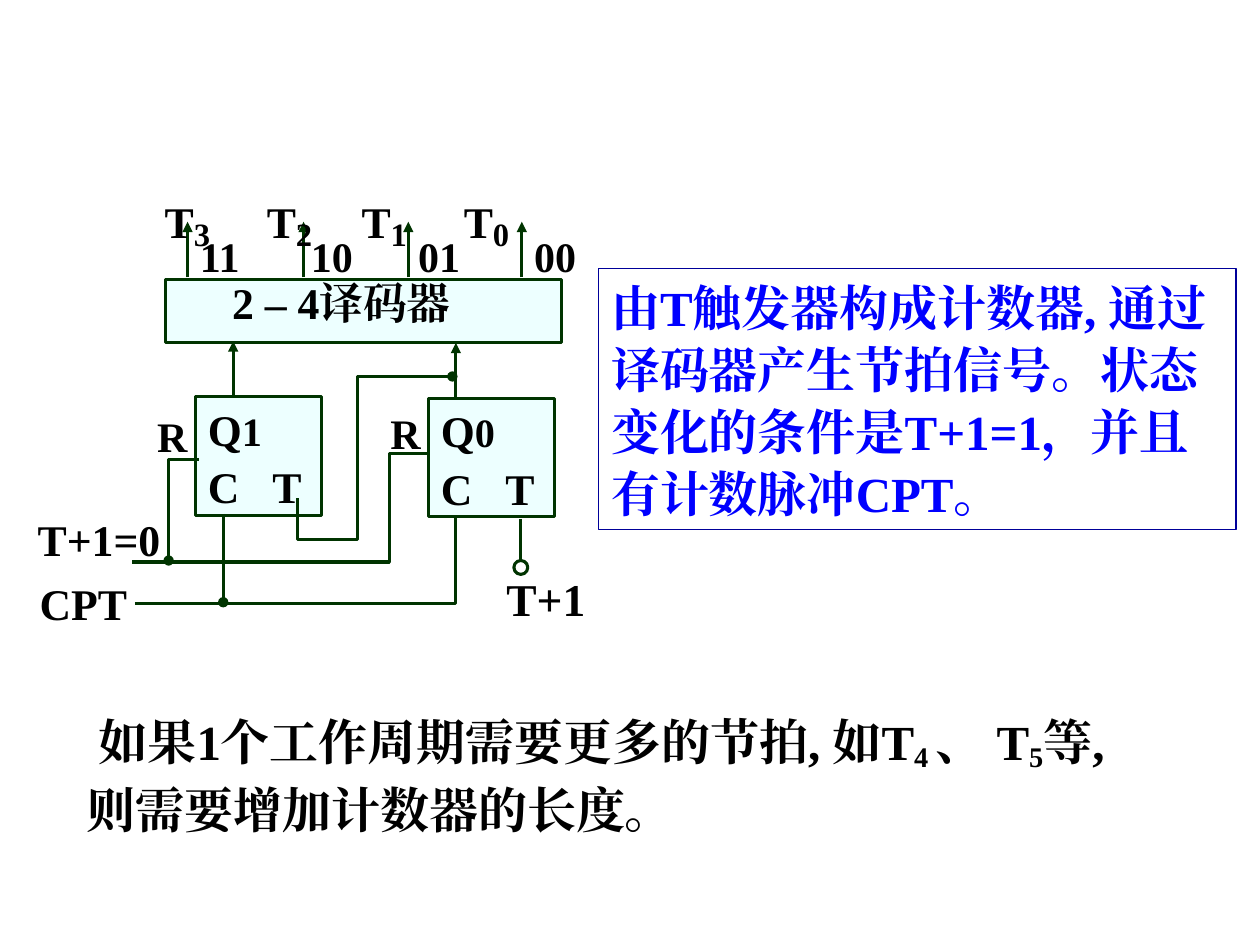
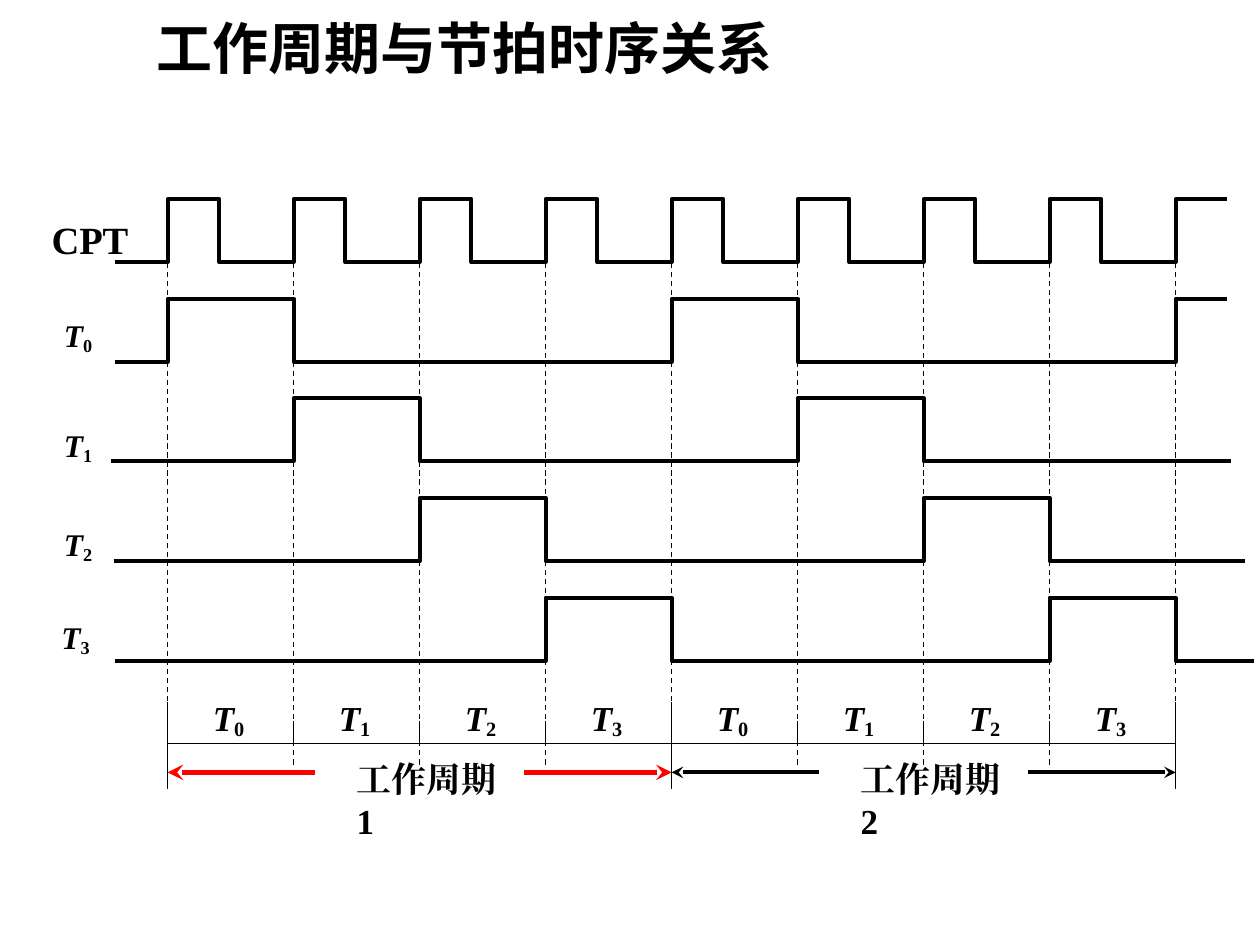
"""Build two slides on beat generation: the decoder circuit and its timing diagram."""
from dataclasses import dataclass
from typing import NamedTuple

from lxml import etree
from pptx import Presentation
from pptx import util as u
from pptx.dml.color import RGBColor
from pptx.enum import dml, shapes, text
from pptx.oxml import ns


@dataclass(frozen=True)
class Theme:
    serif: str = "Times New Roman"
    sans: str = "Noto Sans CJK SC"
    ink: str = "000000"
    wire: str = "003400"
    block: str = "EDFFFF"
    note: str = "0000FF"
    note_border: str = "000099"
    accent: str = "FF0000"
    title: float = 32
    body: float = 28
    pin: float = 25
    code: float = 24
    clock: float = 22
    period: float = 20
    signal: float = 18
    wire_width: float = 1.75
    wave_width: float = 2.25
    thin: float = 0.75


T = Theme()


class Run(NamedTuple):
    text: str
    size: float
    sub: int = 0
    italic: bool = False


class Box(NamedTuple):
    x: float
    y: float
    w: float
    h: float


class Label(NamedTuple):
    x: float
    y: float
    runs: list[Run]


class Wire(NamedTuple):
    points: list[tuple[float, float]]
    head: str = ""
    tail: str = ""


class Signal(NamedTuple):
    label: Label
    start: float
    end: float
    phase: int
    period: int
    width: float


def cm(*values: float) -> list[int]:
    return [u.Cm(round(v, 2)) for v in values]


def set_fonts(r, size: float, color: str, face: str = T.serif) -> None:
    f = r.font
    f.name, f.size, f.bold = face, u.Pt(size), True
    f.color.rgb = RGBColor.from_string(color)
    latin = r._r.rPr.find(ns.qn("a:latin"))
    ea = etree.Element(ns.qn("a:ea"), typeface=face)
    latin.addnext(ea)


def write(p, runs: list[Run], color: str = T.ink) -> None:
    for run in runs:
        r = p.add_run()
        r.text = run.text
        set_fonts(r, run.size, color)
        r.font.italic = run.italic
        if run.sub:
            r._r.rPr.set("baseline", str(run.sub * 1000))


def set_line(sp, color: str, width: float, head: str = "", tail: str = "") -> None:
    sp.line.color.rgb = RGBColor.from_string(color)
    sp.line.width = u.Pt(width)
    ln = sp.line._get_or_add_ln()
    for tag, kind in (("a:headEnd", head), ("a:tailEnd", tail)):
        if kind:
            etree.SubElement(ln, ns.qn(tag), type=kind)


def add_line(s, x1: float, y1: float, x2: float, y2: float, color: str = T.ink,
             width: float = T.thin, tail: str = "", dashed: bool = False) -> None:
    sp = s.shapes.add_connector(shapes.MSO_CONNECTOR.STRAIGHT, *cm(x1, y1, x2, y2))
    if dashed:
        sp.line.dash_style = dml.MSO_LINE.DASH
    set_line(sp, color, width, tail=tail)
    etree.SubElement(sp._element.spPr, ns.qn("a:effectLst"))


def add_path(s, wire: Wire, color: str, width: float) -> None:
    points = [tuple(cm(*point)) for point in wire.points]
    builder = s.shapes.build_freeform(*points[0], scale=1.0)
    builder.add_line_segments(points[1:], close=False)
    sp = builder.convert_to_shape()
    sp.shadow.inherit = False
    sp.fill.background()
    set_line(sp, color, width, wire.head, wire.tail)


def add_block(s, box: Box, fill: str = "", line: str = T.wire, width: float = T.wire_width,
              kind=shapes.MSO_SHAPE.RECTANGLE):
    sp = s.shapes.add_shape(kind, *cm(*box))
    sp.shadow.inherit = False
    if fill:
        sp.fill.solid()
        sp.fill.fore_color.rgb = RGBColor.from_string(fill)
    else:
        sp.fill.background()
    set_line(sp, line, width)
    tf = sp.text_frame
    tf.word_wrap = True
    tf.vertical_anchor = text.MSO_ANCHOR.TOP
    tf.paragraphs[0].alignment = text.PP_ALIGN.LEFT
    return sp


def add_label(s, label: Label, w: float = 1.3, h: float = 1.1, wrap: bool = False):
    sp = s.shapes.add_textbox(*cm(label.x, label.y, w, h))
    tf = sp.text_frame
    tf.word_wrap = wrap
    write(tf.paragraphs[0], label.runs)
    return sp


def beat(i: int, size: float) -> list[Run]:
    return [Run("T", size, italic=True), Run(str(i), size, -15)]


def add_flip_flop(s, x: float, y: float, i: int) -> None:
    tf = add_block(s, Box(x, y, 2.54, 2.39), T.block).text_frame
    tf.margin_top = u.Cm(0.23)
    p = tf.paragraphs[0]
    p.line_spacing = 0.9
    write(p, [Run("Q", T.pin), Run(str(i), T.pin - 2)])
    p = tf.add_paragraph()
    tabs = etree.SubElement(p._p.get_or_add_pPr(), ns.qn("a:tabLst"))
    etree.SubElement(tabs, ns.qn("a:tab"), pos=str(u.Cm(1.3)), algn="l")
    p.alignment = text.PP_ALIGN.LEFT
    p.space_before = u.Pt(2.5)
    write(p, [Run("C\tT", T.pin)])


def build_circuit(s) -> None:
    note = add_block(s, Box(12.07, 5.41, 12.85, 5.26), line=T.note_border, width=T.thin)
    p = note.text_frame.paragraphs[0]
    p.line_spacing = u.Pt(35.4)
    write(p, [Run("由T触发器构成计数器, 通过译码器产生节拍信号。"
                  "状态变化的条件是T+1=1，并且有计数脉冲CPT。", T.body)], T.note)

    remark = Label(1.5, 14.15, [
        Run("如果1个工作周期需要更多的节拍, 如T", T.body), Run("4 ", T.body, -14),
        Run("、 T", T.body), Run("5", T.body, -14),
        Run("等, 则需要增加计数器的长度。", T.body)])
    p = add_label(s, remark, 22.12, 2.77, wrap=True).text_frame.paragraphs[0]
    p._p.get_or_add_pPr().set("indent", str(u.Cm(0.24)))
    p.line_spacing = u.Pt(37.1)

    add_flip_flop(s, 8.64, 8.03, 0)
    add_flip_flop(s, 3.94, 8.0, 1)
    tf = add_block(s, Box(3.33, 5.64, 8.0, 1.27), T.block).text_frame
    tf.margin_left, tf.margin_top, tf.margin_bottom = cm(1.35, 0, 0)
    tf.paragraphs[0].line_spacing = 0.95
    write(tf.paragraphs[0], [Run("2 – 4译码器", T.pin)])

    for wire in (
        Wire([(2.72, 12.17), (9.19, 12.17), (9.19, 10.39)]),
        Wire([(8.61, 9.14), (7.85, 9.14), (7.85, 11.33), (2.67, 11.33)]),
        Wire([(4.01, 9.27), (3.4, 9.27), (3.4, 11.3)], tail="oval"),
        Wire([(9.12, 7.59), (7.21, 7.59), (7.21, 10.87), (5.99, 10.87), (5.99, 10.03)],
             head="oval"),
    ):
        add_path(s, wire, T.wire, T.wire_width)
    for x, y1, y2, tail in ((9.19, 8.03, 6.91, "triangle"), (4.7, 8.0, 6.88, "triangle"),
                            (4.5, 10.36, 12.14, "oval"), (10.49, 10.46, 11.33, "")):
        add_line(s, x, y1, x, y2, T.wire, T.wire_width, tail)
    add_block(s, Box(10.36, 11.3, 0.28, 0.28), kind=shapes.MSO_SHAPE.OVAL)

    for i, arrow_x, beat_x, code_x in ((3, 3.78, 3.07, 3.78), (2, 6.12, 5.13, 6.02),
                                       (1, 8.23, 7.04, 8.18), (0, 10.52, 9.1, 10.52)):
        add_line(s, arrow_x, 5.59, arrow_x, 4.47, T.wire, T.wire_width, "triangle")
        add_label(s, Label(beat_x, 3.56, [Run("T", T.pin), Run(str(i), T.title, -14)]), 1.7)
        add_label(s, Label(code_x, 4.52, [Run(f"{i:02b}", T.code)]), 1.35)

    for label in (Label(0.55, 11.51, [Run("CPT", T.pin)]),
                  Label(0.51, 10.21, [Run("T+1=0", T.pin)]),
                  Label(9.96, 11.38, [Run("T+1", T.pin + 1)]),
                  Label(2.92, 8.15, [Run("R", T.code)]),
                  Label(7.62, 8.1, [Run("R", T.code)])):
        add_label(s, label, 3.1 if len(label.runs[0].text) > 3 else 2.3)


def wave(signal: Signal, low: float, x0: float, step: float) -> Wire:
    """Trace a pulse train from its first low level to its end."""
    high = low - 1.27
    points = [(signal.start, low)]
    level = low
    for slot in range(signal.phase, 9, signal.period):
        left = x0 + slot * step
        right = left + signal.width
        points += [(left, low), (left, high)]
        level = high
        if right < signal.end:
            points += [(right, high), (right, low)]
            level = low
    return Wire(points + [(signal.end, level)])


def build_timing(s) -> None:
    x0, step, beats = 3.38, 2.54, 4
    title = s.shapes.title
    title.left, title.top, title.width, title.height = cm(2.9, 0.13, 13.11, 1.63)
    tf = title.text_frame
    tf.text = "工作周期与节拍时序关系"
    tf.word_wrap = False
    tf.auto_size = text.MSO_AUTO_SIZE.NONE
    tf.vertical_anchor = text.MSO_ANCHOR.MIDDLE
    tf.paragraphs[0].alignment = text.PP_ALIGN.LEFT
    set_fonts(tf.paragraphs[0].runs[0], T.title, T.ink, T.sans)

    signals = [
        Signal(Label(0.79, 4.24, [Run("CPT", T.clock)]), 2.31, 24.74, 0, 1, 1.04),
        Signal(Label(1.04, 6.25, beat(0, T.signal)), 2.31, 24.74, 0, beats, step),
        Signal(Label(1.04, 8.46, beat(1, T.signal)), 2.24, 24.82, 1, beats, step),
        Signal(Label(1.04, 10.46, beat(2, T.signal)), 2.29, 25.1, 2, beats, step),
        Signal(Label(0.99, 12.34, beat(3, T.signal)), 2.31, 25.27, 3, beats, step),
    ]
    for i, signal in enumerate(signals):
        add_path(s, wave(signal, 5.28 + 2.01 * i, x0, step), T.ink, T.wave_width)
        add_label(s, signal.label, 2.08 if i == 0 else 1.12)

    ruler = 14.99
    add_line(s, x0, ruler, x0 + 2 * beats * step, ruler)
    for slot in range(2 * beats + 1):
        x = x0 + slot * step
        add_line(s, x, 4.57, x, 15.44, dashed=True)
        top, bottom = (14.53, ruler) if slot % beats else (14.15, 15.9)
        add_line(s, x, top, x, bottom)
        if slot < 2 * beats:
            add_label(s, Label(x + 0.66, 13.92, beat(slot % beats, T.period)), 1.19)

    for i, (color, width) in enumerate(((T.accent, 3), (T.ink, T.wave_width))):
        left, right, y = x0 + i * beats * step, x0 + (i + 1) * beats * step, 15.57
        for tip, start in ((left, left + 2.97), (right, right - 2.97)):
            add_line(s, start, y, tip, y, color, width, "stealth")
        add_label(s, Label(left + 3.56, 15.14, [Run(f"工作周期{i + 1}", T.period)]),
                  3.55, wrap=True)


def main() -> None:
    prs = Presentation()
    prs.slide_width, prs.slide_height = cm(25.4, 19.05)
    build_circuit(prs.slides.add_slide(prs.slide_layouts[6]))
    build_timing(prs.slides.add_slide(prs.slide_layouts[5]))
    prs.save("out.pptx")


if __name__ == "__main__":
    main()
